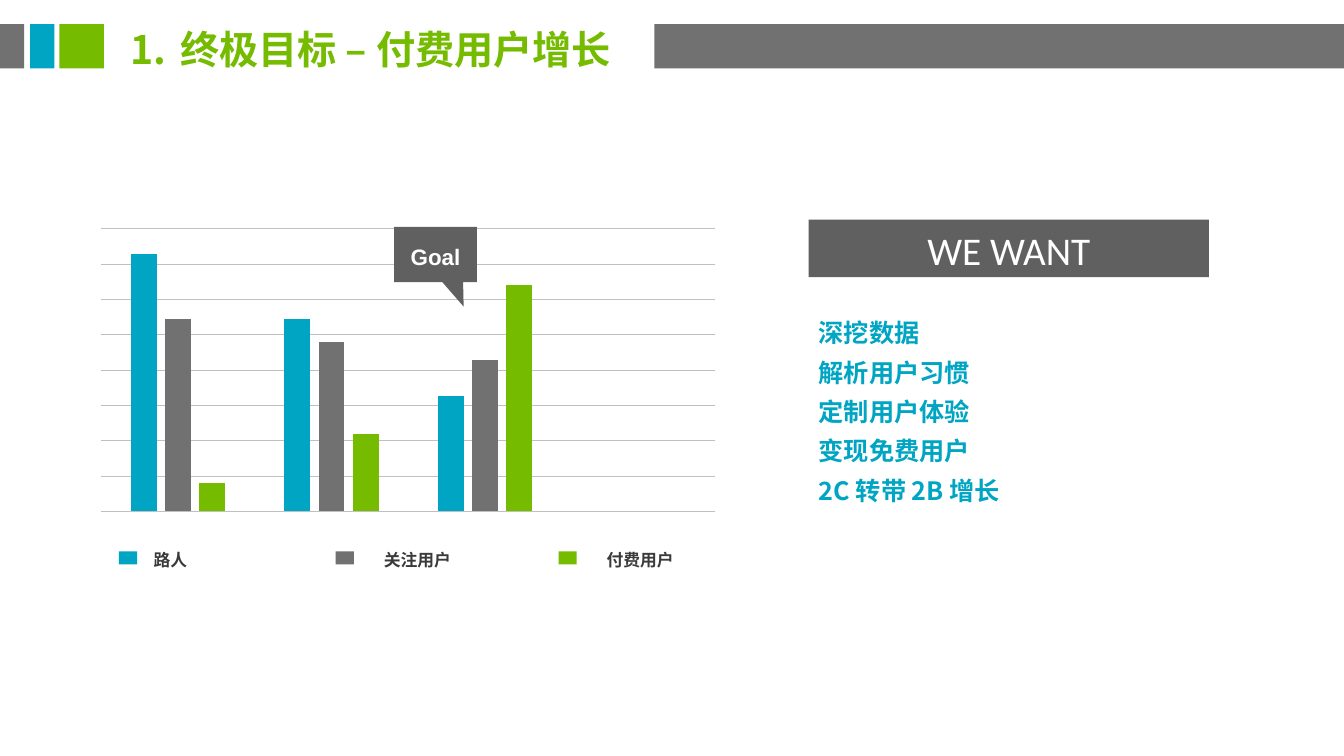
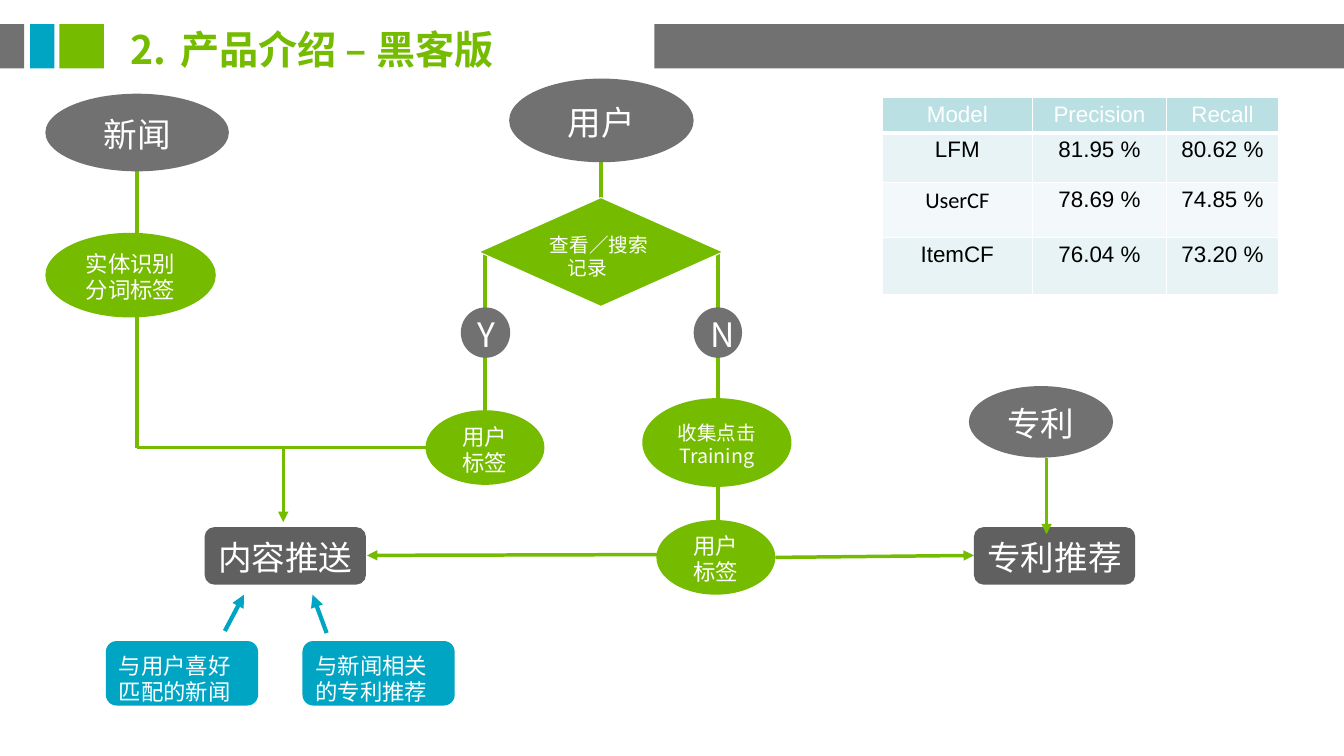
from dataclasses import dataclass

from lxml import etree
from pptx import Presentation
from pptx import util as u
from pptx.chart import data as cd
from pptx.dml import color as c
from pptx.enum import chart as ch, shapes, text
from pptx.oxml import ns


@dataclass(frozen=True)
class Theme:
    green: str = "75BB00"
    blue: str = "00A5C4"
    gray: str = "717171"
    dark: str = "606060"
    ink: str = "3A3A3A"
    black: str = "000000"
    white: str = "FFFFFF"
    grid: str = "C0C0C0"
    head: str = "BBE0E3"
    band: str = "E7F3F4"
    pale: str = "F3F9FA"
    cjk: str = "Noto Sans CJK SC"
    arial: str = "Arial"
    calibri: str = "Calibri"
    title: int = 28
    node: int = 24
    body: int = 18
    label: int = 16
    small: int = 14
    legend: int = 12


T = Theme()
PX = 9144
S = shapes.MSO_SHAPE
LEFT, CENTER = text.PP_ALIGN.LEFT, text.PP_ALIGN.CENTER
TOP, MIDDLE = text.MSO_ANCHOR.TOP, text.MSO_ANCHOR.MIDDLE
rgb = c.RGBColor.from_string


def write(tf, content, size, color=T.white, font=T.cjk, bold=False,
          align=CENTER, anchor=MIDDLE, pitch=1.16):
    tf.text = content
    frame = dict(word_wrap=True, auto_size=text.MSO_AUTO_SIZE.NONE, vertical_anchor=anchor,
                 margin_left=10 * PX, margin_top=9 * PX, margin_right=10 * PX, margin_bottom=5 * PX)
    for k, v in frame.items():
        setattr(tf, k, v)
    for p in tf.paragraphs:
        pPr = p._p.get_or_add_pPr()
        pPr.set("marL", "0")
        pPr.set("indent", "0")
        etree.SubElement(pPr, ns.qn("a:buNone"))
        for k, v in dict(alignment=align, line_spacing=u.Pt(size * pitch), space_before=u.Pt(0)).items():
            setattr(p, k, v)
        for r in p.runs:
            for k, v in dict(size=u.Pt(size), bold=bold, name=font).items():
                setattr(r.font, k, v)
            r.font.color.rgb = rgb(color)
            etree.SubElement(r._r.get_or_add_rPr(), ns.qn("a:ea"), typeface=T.cjk)


def shape(s, kind, box, fill, content="", size=T.node, **fmt):
    sp = s.shapes.add_shape(kind, *(v * PX for v in box))
    sp.shadow.inherit = False
    sp.fill.solid()
    sp.fill.fore_color.rgb = rgb(fill)
    sp.line.fill.background()
    if content:
        write(sp.text_frame, content, size, **fmt)
    return sp


prs = Presentation()
prs.slide_width, prs.slide_height = 1333 * PX, 750 * PX

bands = [(0, 24, T.gray), (30, 24, T.blue), (59, 44, T.green), (649, 684, T.gray)]
titles = [(1, "1.\t终极目标 – 付费用户增长", 61), (5, "2.\t产品介绍 – 黑客版", 52)]
for layout, title, stop in titles:
    s = prs.slides.add_slide(prs.slide_layouts[layout])
    for x, w, fill in bands:
        shape(s, S.RECTANGLE, (x, 24, w, 44), fill)
    sp = s.shapes.title
    for k, v in dict(left=119, top=19, width=529, height=57).items():
        setattr(sp, k, v * PX)
    write(sp.text_frame, title, T.title, T.green, bold=True, align=LEFT)
    pPr = sp.text_frame.paragraphs[0]._p.get_or_add_pPr()
    tabs = etree.SubElement(pPr, ns.qn("a:tabLst"))
    etree.SubElement(tabs, ns.qn("a:tab"), pos=str(stop * PX), algn="l")

goal, product = prs.slides

data = cd.CategoryChartData()
data.categories = ["1", "2", "3", "4"]
series = [
    ("Series 1", (100, 75, 45, None), T.blue),
    ("Series 2", (75, 66, 59, None), T.gray),
    ("Series 3", (11, 30, 88, None), T.green),
]
for name, values, _ in series:
    data.add_series(name, values)
chart = goal.shapes.add_chart(ch.XL_CHART_TYPE.COLUMN_CLUSTERED,
                              81 * PX, 208 * PX, 648 * PX, 315 * PX, data).chart
chart.has_legend = chart.has_title = False
for k, v in dict(size=u.Pt(10), name=T.arial).items():
    setattr(chart.font, k, v)
chart.font.color.rgb = rgb(T.black)
plot = chart.plots[0]
for k, v in dict(gap_width=230, overlap=-32, vary_by_categories=False).items():
    setattr(plot, k, v)
for ser, (_, _, fill) in zip(plot.series, series):
    ser.format.fill.solid()
    ser.format.fill.fore_color.rgb = rgb(fill)
chart.category_axis.visible = False
axis = chart.value_axis
for k, v in dict(minimum_scale=0, maximum_scale=110, major_unit=13.75,
                 has_major_gridlines=True, visible=False).items():
    setattr(axis, k, v)
axis.major_gridlines.format.line.width = u.Pt(0.25)
axis.major_gridlines.format.line.color.rgb = rgb(T.grid)
area = chart._chartSpace.chart.plotArea
for old in area.findall(ns.qn("c:layout")):
    area.remove(old)
layout = etree.Element(ns.qn("c:layout"))
manual = etree.SubElement(layout, ns.qn("c:manualLayout"))
for k, v in dict(layoutTarget="inner", xMode="edge", yMode="edge",
                 x="0.03", y="0.06", w="0.94", h="0.89").items():
    etree.SubElement(manual, ns.qn("c:" + k), val=v)
area.insert(0, layout)

legend = [(118, 169, "路人", T.blue), (333, 414, "关注用户", T.gray), (554, 635, "付费用户", T.green)]
for x, mid, name, fill in legend:
    shape(goal, S.RECTANGLE, (x, 547, 18, 13), fill)
    tb = goal.shapes.add_textbox((mid - 50) * PX, 539 * PX, 100 * PX, 30 * PX)
    write(tb.text_frame, name, T.legend, T.ink, T.arial, True)

sp = shape(goal, S.RECTANGULAR_CALLOUT, (391, 225, 82, 55), T.dark, "Goal", T.label, font=T.arial, bold=True)
sp.adjustments[0], sp.adjustments[1] = 0.34, 0.94
shape(goal, S.RECTANGLE, (802, 218, 397, 57), T.dark, "WE WANT", T.title, font=T.calibri)

sp = goal.placeholders[1]
for k, v in dict(left=802, top=297, width=433, height=207).items():
    setattr(sp, k, v * PX)
wants = ["深挖数据", "解析用户习惯", "定制用户体验", "变现免费用户", "2C 转带 2B 增长"]
write(sp.text_frame, "\n".join(wants), T.body, T.blue, bold=True, align=LEFT, anchor=TOP, pitch=1.56)

for x, name in [(203, "内容推送"), (966, "专利推荐")]:
    shape(product, S.ROUNDED_RECTANGLE, (x, 523, 160, 57), T.dark, name)
for x, name in [(105, "与用户喜好匹配的新闻"), (300, "与新闻相关的专利推荐")]:
    shape(product, S.ROUNDED_RECTANGLE, (x, 636, 151, 64), T.blue, name, T.label, align=LEFT, anchor=TOP)

lines = [
    (136, 170, 136, 444, T.green, 2.5, False),
    (136, 444, 522, 444, T.green, 2.5, False),
    (481, 250, 481, 473, T.green, 2.5, False),
    (712, 249, 712, 580, T.green, 2.5, False),
    (596, 161, 596, 200, T.green, 2.5, False),
    (281, 443, 281, 518, T.green, 2.5, True),
    (718, 550, 364, 551, T.green, 2.5, True),
    (769, 553, 966, 551, T.green, 2.5, True),
    (1038, 454, 1038, 530, T.green, 2.5, True),
    (223, 626, 242, 590, T.blue, 3, True),
    (324, 628, 310, 590, T.blue, 3, True),
]
for *ends, color, width, arrow in lines:
    cn = product.shapes.add_connector(shapes.MSO_CONNECTOR.STRAIGHT, *(v * PX for v in ends))
    cn.line.width = u.Pt(width)
    cn.line.color.rgb = rgb(color)
    if arrow:
        etree.SubElement(cn.line._get_or_add_ln(), ns.qn("a:tailEnd"), type="triangle")
    etree.SubElement(cn._element.spPr, ns.qn("a:effectLst"))

nodes = [
    ((45, 93, 182, 77), T.gray, "新闻", T.node),
    ((505, 78, 183, 83), T.gray, "用户", T.node),
    ((961, 383, 143, 71), T.gray, "专利", T.node),
    ((457, 305, 49, 50), T.gray, "Y", T.node),
    ((688, 305, 48, 50), T.gray, "N", T.node),
    ((45, 231, 169, 84), T.green, "实体识别\n分词标签", T.label),
    ((422, 407, 118, 74), T.green, "用户标签", T.label),
    ((651, 516, 118, 74), T.green, "用户标签", T.label),
    ((637, 395, 148, 88), T.green, "收集点击\nTraining", T.small),
]
for box, fill, name, size in nodes:
    shape(product, S.OVAL, box, fill, name, size)

sp = shape(product, S.DIAMOND, (475, 196, 242, 108), T.green, "查看／搜索\n记录", T.small, align=LEFT, anchor=TOP)
sp.line.width = u.Pt(0.75)
sp.line.color.rgb = rgb(T.white)
sp.text_frame.paragraphs[1]._p.get_or_add_pPr().set("marL", str(18 * PX))

rows = [
    (33, T.head, ("Model", "Precision", "Recall")),
    (49, T.band, ("LFM", "81.95 %", "80.62 %")),
    (55, T.pale, ("UserCF", "78.69 %", "74.85 %")),
    (57, T.band, ("ItemCF", "76.04 %", "73.20 %")),
]
table = product.shapes.add_table(4, 3, 875 * PX, 97 * PX, 393 * PX, 194 * PX).table
table.first_row = table.horz_banding = False
for col, w in zip(table.columns, (149, 133, 111)):
    col.width = w * PX
for i, (h, fill, values) in enumerate(rows):
    table.rows[i].height = h * PX
    for cell, value in zip(table.rows[i].cells, values):
        tcPr = cell._tc.get_or_add_tcPr()
        widths = dict(lnL=1, lnR=1, lnT=3 if i == 1 else 1, lnB=3 if i == 0 else 1)
        for side, width in widths.items():
            ln = etree.SubElement(tcPr, ns.qn("a:" + side), w=str(u.Pt(width)))
            solid = etree.SubElement(ln, ns.qn("a:solidFill"))
            etree.SubElement(solid, ns.qn("a:srgbClr"), val=T.white)
        cell.fill.solid()
        cell.fill.fore_color.rgb = rgb(fill)
        cell.text = value
        p = cell.text_frame.paragraphs[0]
        p.alignment = CENTER
        font = p.runs[0].font
        name = T.calibri if value == "UserCF" else T.arial
        for k, v in dict(size=u.Pt(T.label), bold=False, name=name).items():
            setattr(font, k, v)
        font.color.rgb = rgb(T.black if i else T.white)

prs.save("out.pptx")
